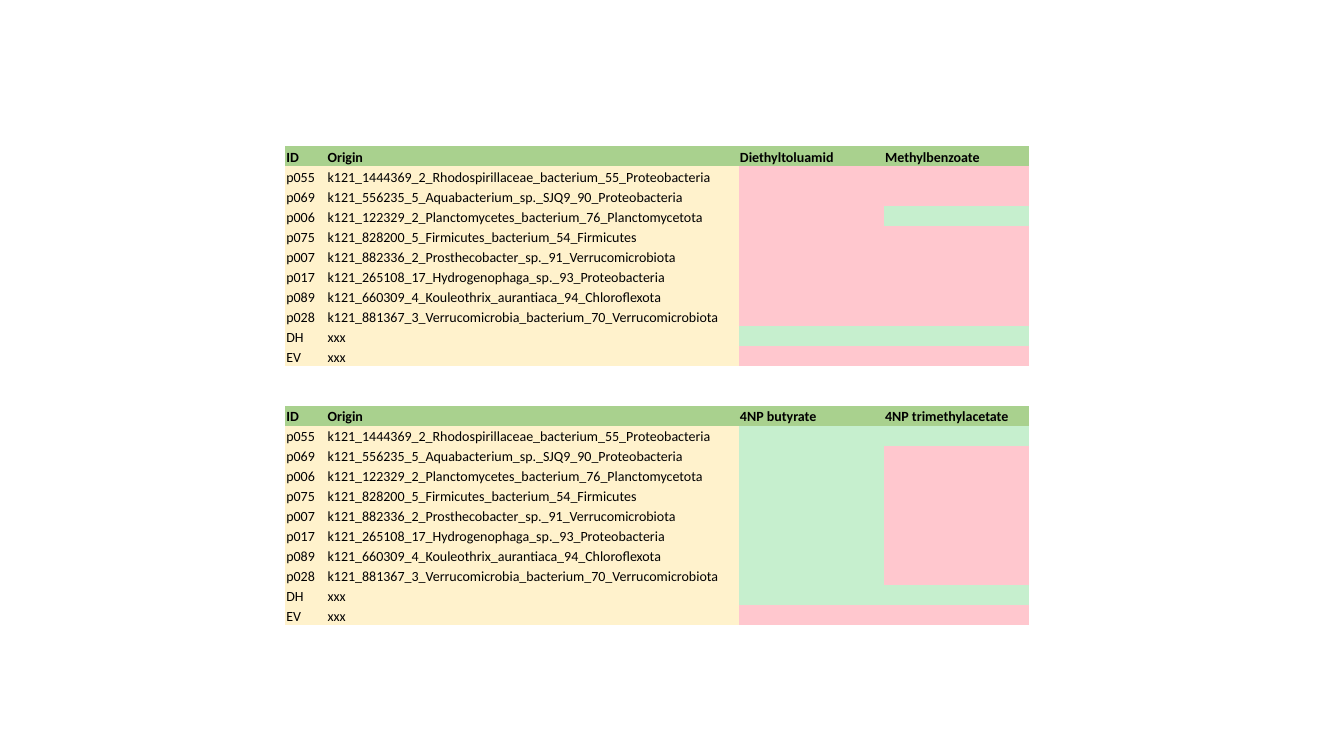
import pptx
import pptx.util
import pptx.dml.color
import pptx.enum.text
import pptx.oxml.ns
import lxml.etree

Inches = pptx.util.Inches
RGB = pptx.dml.color.RGBColor
qn = pptx.oxml.ns.qn

BLACK = RGB(0x00, 0x00, 0x00)
HEAD = RGB(0xA9, 0xD1, 0x8E)
CREAM = RGB(0xFF, 0xF2, 0xCC)
PINK = RGB(0xFF, 0xC7, 0xCE)
MINT = RGB(0xC6, 0xEF, 0xCE)
TONES = {"+": MINT, "-": PINK}
PLAIN = "{2D5ABB26-0587-4C30-8999-92F81FD0307C}"

FONT = {"name": "Calibri", "size": pptx.util.Pt(10)}
CELL = {
    "margin_left": Inches(0.01),
    "margin_right": Inches(0.01),
    "margin_top": Inches(0.01),
    "margin_bottom": 0,
    "vertical_anchor": pptx.enum.text.MSO_ANCHOR.BOTTOM,
}
WIDTHS = [0.41, 4.09, 1.44, 1.44]
GAP = 2

CLONES = [
    ("p055", "k121_1444369_2_Rhodospirillaceae_bacterium_55_Proteobacteria"),
    ("p069", "k121_556235_5_Aquabacterium_sp._SJQ9_90_Proteobacteria"),
    ("p006", "k121_122329_2_Planctomycetes_bacterium_76_Planctomycetota"),
    ("p075", "k121_828200_5_Firmicutes_bacterium_54_Firmicutes"),
    ("p007", "k121_882336_2_Prosthecobacter_sp._91_Verrucomicrobiota"),
    ("p017", "k121_265108_17_Hydrogenophaga_sp._93_Proteobacteria"),
    ("p089", "k121_660309_4_Kouleothrix_aurantiaca_94_Chloroflexota"),
    ("p028", "k121_881367_3_Verrucomicrobia_bacterium_70_Verrucomicrobiota"),
    ("DH", "xxx"),
    ("EV", "xxx"),
]
TESTS = [
    {"Diethyltoluamid": "--------+-", "Methylbenzoate": "--+-----+-"},
    {"4NP butyrate": "+++++++++-", "4NP trimethylacetate": "+-------+-"},
]


def apply(item, values):
    """Set each named value on the item."""
    for name, value in values.items():
        setattr(item, name, value)


def fill_cell(cell, text="", tone=None, bold=False):
    """Write and colour one cell."""
    apply(cell, CELL)
    if tone is None:
        cell.fill.background()
    else:
        cell.fill.solid()
        cell.fill.fore_color.rgb = tone
    para = cell.text_frame.paragraphs[0]
    if text:
        run = para.add_run()
        run.text = text
        apply(run.font, {**FONT, "bold": bold})
        run.font.color.rgb = BLACK
    else:
        lxml.etree.SubElement(para._p, qn("a:endParaRPr"), sz="1000")


def fill_block(table, top, tests):
    """Fill one heading and its clone rows from the given row down."""
    for col, name in enumerate(["ID", "Origin", *tests]):
        fill_cell(table.cell(top, col), name, HEAD, True)
    for row, clone in enumerate(CLONES):
        for col, text in enumerate(clone):
            fill_cell(table.cell(top + 1 + row, col), text, CREAM)
        for col, marks in enumerate(tests.values(), len(clone)):
            fill_cell(table.cell(top + 1 + row, col), tone=TONES[marks[row]])


def add_grid(slide, left, top, width, height):
    """Place the table of both test blocks in the given box."""
    step = len(CLONES) + 1 + GAP
    count = step * len(TESTS) - GAP
    box = [Inches(side) for side in (left, top, width, height)]
    frame = slide.shapes.add_table(count, len(WIDTHS), *box)
    table = frame.table
    apply(table, {"first_row": False, "horz_banding": False})
    for style in frame._element.iter(qn("a:tableStyleId")):
        style.text = PLAIN
    for col, size in zip(table.columns, WIDTHS):
        col.width = Inches(size)
    for row in table.rows:
        row.height = Inches(height / count)
    for index, tests in enumerate(TESTS):
        fill_block(table, index * step, tests)
    for row in range(step - GAP, step):
        for col in range(len(WIDTHS)):
            fill_cell(table.cell(row, col))


def main():
    """Build and save the slide."""
    deck = pptx.Presentation()
    apply(deck, {"slide_width": Inches(13.33), "slide_height": Inches(7.5)})
    slide = deck.slides.add_slide(deck.slide_layouts[6])
    add_grid(slide, 2.83, 1.45, sum(WIDTHS), 4.76)
    deck.save("out.pptx")


main()
